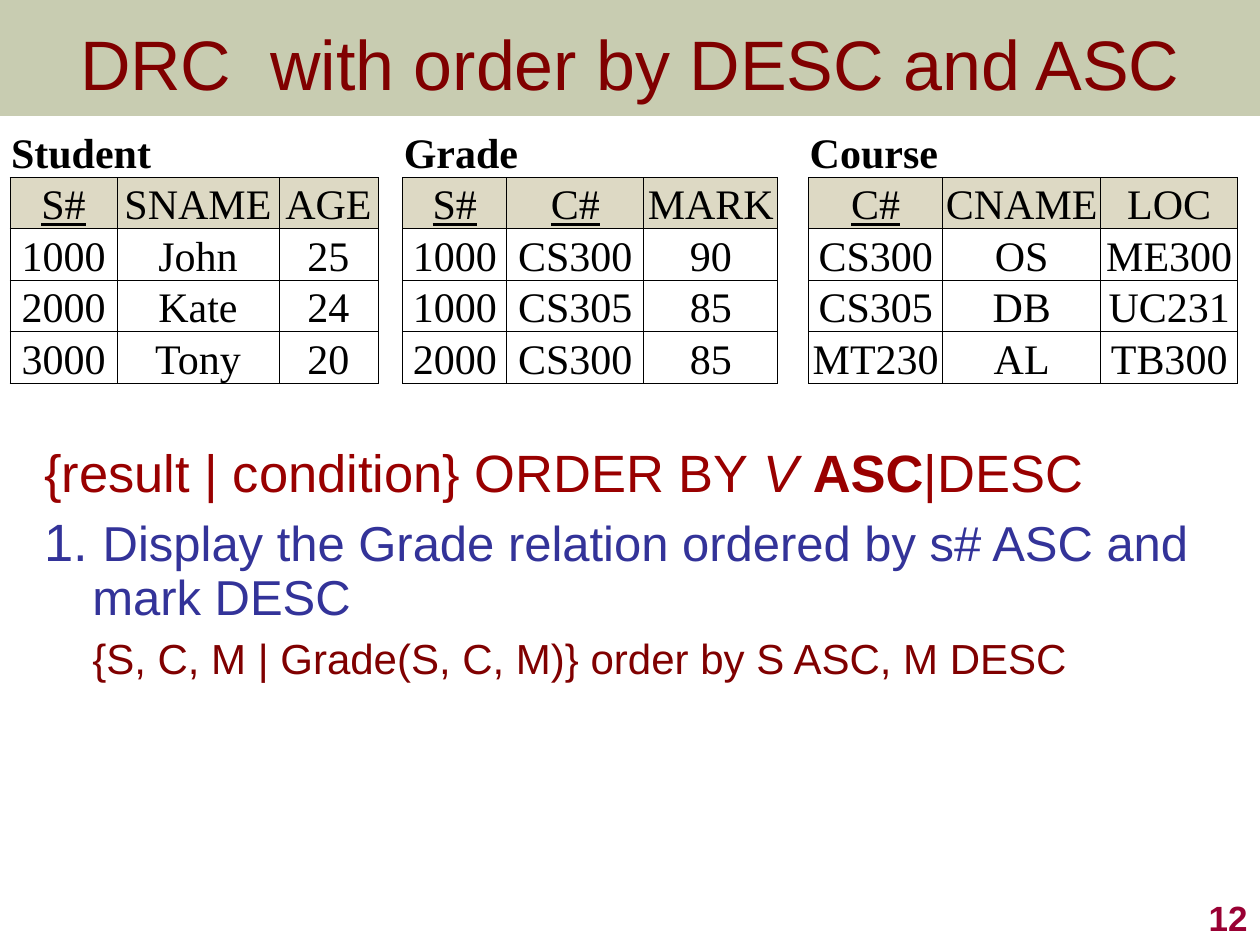
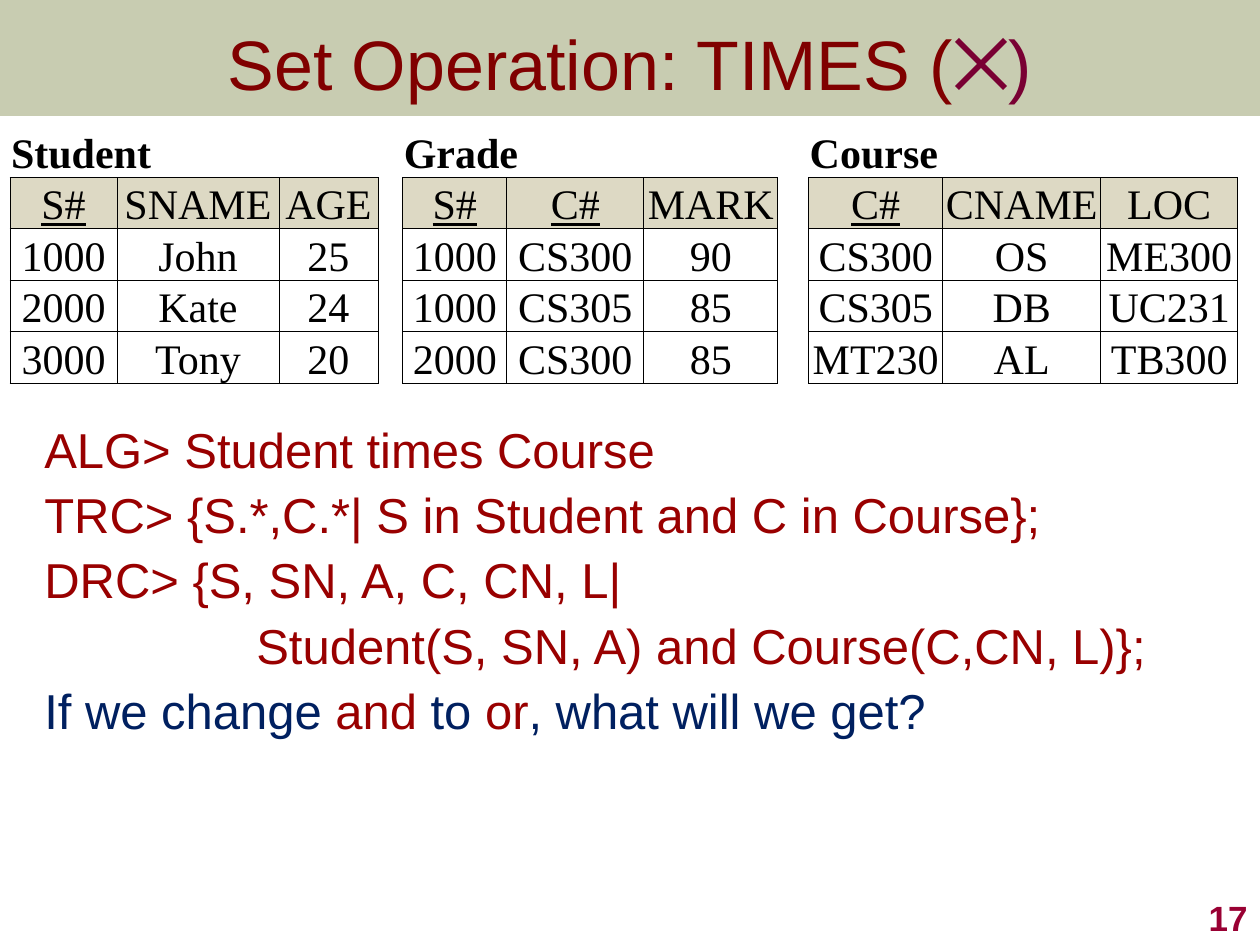
from lxml.etree import SubElement
from pptx import Presentation
from pptx.dml.color import RGBColor
from pptx.enum.shapes import MSO_SHAPE
from pptx.enum.text import MSO_ANCHOR, PP_ALIGN
from pptx.oxml.ns import qn
from pptx.util import Pt

PX = 914400 // 126
WIDTH, HEIGHT = 1260, 945

OLIVE = RGBColor(0x67, 0x72, 0x28)
MAROON = RGBColor(0x80, 0x00, 0x00)
PLUM = RGBColor(0x79, 0x00, 0x33)
CRIMSON = RGBColor(0x99, 0x00, 0x33)
RED = RGBColor(0x99, 0x00, 0x00)
INDIGO = RGBColor(0x33, 0x33, 0x99)
NAVY = RGBColor(0x00, 0x20, 0x60)
BLACK = RGBColor(0x00, 0x00, 0x00)
WHITE = RGBColor(0xFF, 0xFF, 0xFF)
SAND = RGBColor(0xDD, 0xD9, 0xC4)

TITLE_BOX = (0, 0, WIDTH, 126)
NUMBER_BOX = (998, 882, 262, 63)
TABLE_BOX = (10, 126, 1228, 240)
HANGING = (48, -48)

RELATIONS = [
    ("Student", (107, 162, 99), ("S#",), [
        ("S#", "SNAME", "AGE"),
        ("1000", "John", "25"),
        ("2000", "Kate", "24"),
        ("3000", "Tony", "20"),
    ]),
    ("Grade", (104, 137, 134), ("S#", "C#"), [
        ("S#", "C#", "MARK"),
        ("1000", "CS300", "90"),
        ("1000", "CS305", "85"),
        ("2000", "CS300", "85"),
    ]),
    ("Course", (134, 158, 137), ("C#",), [
        ("C#", "CNAME", "LOC"),
        ("CS300", "OS", "ME300"),
        ("CS305", "DB", "UC231"),
        ("MT230", "AL", "TB300"),
    ]),
]
GAPS = (25, 31)


def scaled(box):
    return [length * PX for length in box]


def write(para, text, size=28, color=RED, font="Arial", bold=False, italic=False, underline=False):
    span = para.add_run()
    span.text = text
    style = span.font
    style.name, style.size = font, Pt(size)
    style.color.rgb = color
    style.bold, style.italic, style.underline = bold, italic, underline


def add_frame(page, box, anchor=MSO_ANCHOR.TOP):
    frame = page.shapes.add_textbox(*scaled(box)).text_frame
    frame.word_wrap = True
    frame.vertical_anchor = anchor
    return frame


def add_title(page, box, spans):
    left, top, width, height = box
    band = page.shapes.add_shape(MSO_SHAPE.RECTANGLE, *scaled((left, top, width, height - 10)))
    band.shadow.inherit = False
    band.line.fill.background()
    band.fill.solid()
    band.fill.fore_color.rgb = OLIVE
    tint = band.fill._xPr.find(qn("a:solidFill"))[0]
    SubElement(tint, qn("a:alpha"), val="36000")
    para = add_frame(page, box, MSO_ANCHOR.MIDDLE).paragraphs[0]
    para.alignment = PP_ALIGN.CENTER
    for text, color in spans:
        write(para, text, size=40, color=color)


def add_number(page, box, number):
    para = add_frame(page, box, MSO_ANCHOR.BOTTOM).paragraphs[0]
    para.alignment = PP_ALIGN.RIGHT
    write(para, str(number), size=20, color=CRIMSON, bold=True)


def add_body(page, box, lines):
    frame = add_frame(page, box)
    frame.margin_right = 0
    for index, ((margin, indent), spans) in enumerate(lines):
        para = frame.add_paragraph() if index else frame.paragraphs[0]
        para.line_spacing = 0.9
        para.space_before = Pt(7)
        properties = para._p.get_or_add_pPr()
        properties.set("marL", str(margin * PX))
        properties.set("indent", str(indent * PX))
        for text, style in spans:
            write(para, text, **style)


def style_cell(cell, fill, sides):
    properties = cell._tc.get_or_add_tcPr()
    for side in "LRTB":
        line = SubElement(properties, qn(f"a:ln{side}"), w=str(Pt(0.5)))
        if side in sides:
            paint = SubElement(line, qn("a:solidFill"))
            SubElement(paint, qn("a:srgbClr"), val=str(BLACK))
        else:
            SubElement(line, qn("a:noFill"))
    cell.fill.solid()
    cell.fill.fore_color.rgb = fill
    cell.vertical_anchor = MSO_ANCHOR.BOTTOM
    cell.margin_left = cell.margin_right = cell.margin_top = PX
    cell.margin_bottom = 0


def add_relation(table, first, name, keys, rows):
    for column in range(first, first + 3):
        style_cell(table.cell(0, column), WHITE, "B")
    label = table.cell(0, first)
    label.merge(table.cell(0, first + 2))
    write(label.text_frame.paragraphs[0], name, size=24, color=BLACK, font="Times New Roman", bold=True)
    for row, values in enumerate(rows, 1):
        for column, value in enumerate(values, first):
            cell = table.cell(row, column)
            style_cell(cell, SAND if row == 1 else WHITE, "LRTB")
            para = cell.text_frame.paragraphs[0]
            para.alignment = PP_ALIGN.CENTER
            write(para, value, size=24, color=BLACK, font="Times New Roman", underline=value in keys)


def add_relations(page, box):
    widths = []
    for index, (name, columns, keys, rows) in enumerate(RELATIONS):
        widths += [*GAPS[index - 1:index], *columns]
    table = page.shapes.add_table(5, len(widths), *scaled(box)).table
    table.first_row = table.horz_banding = False
    for column, width in zip(table.columns, widths):
        column.width = width * PX
    for row in table.rows:
        row.height = box[3] // 5 * PX
    for index, (name, columns, keys, rows) in enumerate(RELATIONS):
        add_relation(table, index * 4, name, keys, rows)
    for gap in (3, 7):
        for row in range(5):
            style_cell(table.cell(row, gap), WHITE, "LR" if row else "")


def add_page(deck, title, number, body_box, lines):
    page = deck.slides.add_slide(deck.slide_layouts[6])
    add_title(page, TITLE_BOX, title)
    add_body(page, body_box, lines)
    add_number(page, NUMBER_BOX, number)
    add_relations(page, TABLE_BOX)


def main():
    deck = Presentation()
    deck.slide_width, deck.slide_height = WIDTH * PX, HEIGHT * PX
    add_page(deck, [("DRC  with order by DESC and ASC", MAROON)], 12, (32, 441, 1197, 315), [
        (HANGING, [
            ("{result | condition} ORDER BY ", {"size": 30}),
            ("V ", {"size": 30, "italic": True}),
            ("ASC", {"size": 30, "bold": True}),
            ("|DESC", {"size": 30}),
        ]),
        (HANGING, [
            ("1. ", {"size": 30, "color": INDIGO}),
            ("Display the Grade relation ordered by s# ASC and mark DESC", {"color": INDIGO}),
        ]),
        ((48, 0), [("{S, C, M | Grade(S, C, M)} order by S ASC, M DESC", {"size": 24, "color": MAROON})]),
    ])
    add_page(deck, [("Set Operation: TIMES (", MAROON), ("⨉)", PLUM)], 17, (32, 420, 1228, 378), [
        (HANGING, [("ALG> Student times Course", {})]),
        (HANGING, [("TRC> {S.*,C.*| S in Student and C in Course};", {})]),
        (HANGING, [("DRC> {S, SN, A, C, CN, L|", {})]),
        ((212, 0), [("Student(S, SN, A) and Course(C,CN, L)};", {})]),
        (HANGING, [
            ("If we change ", {"color": NAVY}),
            ("and", {}),
            (" to ", {"color": NAVY}),
            ("or", {}),
            (", what will we get?", {"color": NAVY}),
        ]),
    ])
    deck.save("out.pptx")


if __name__ == "__main__":
    main()
